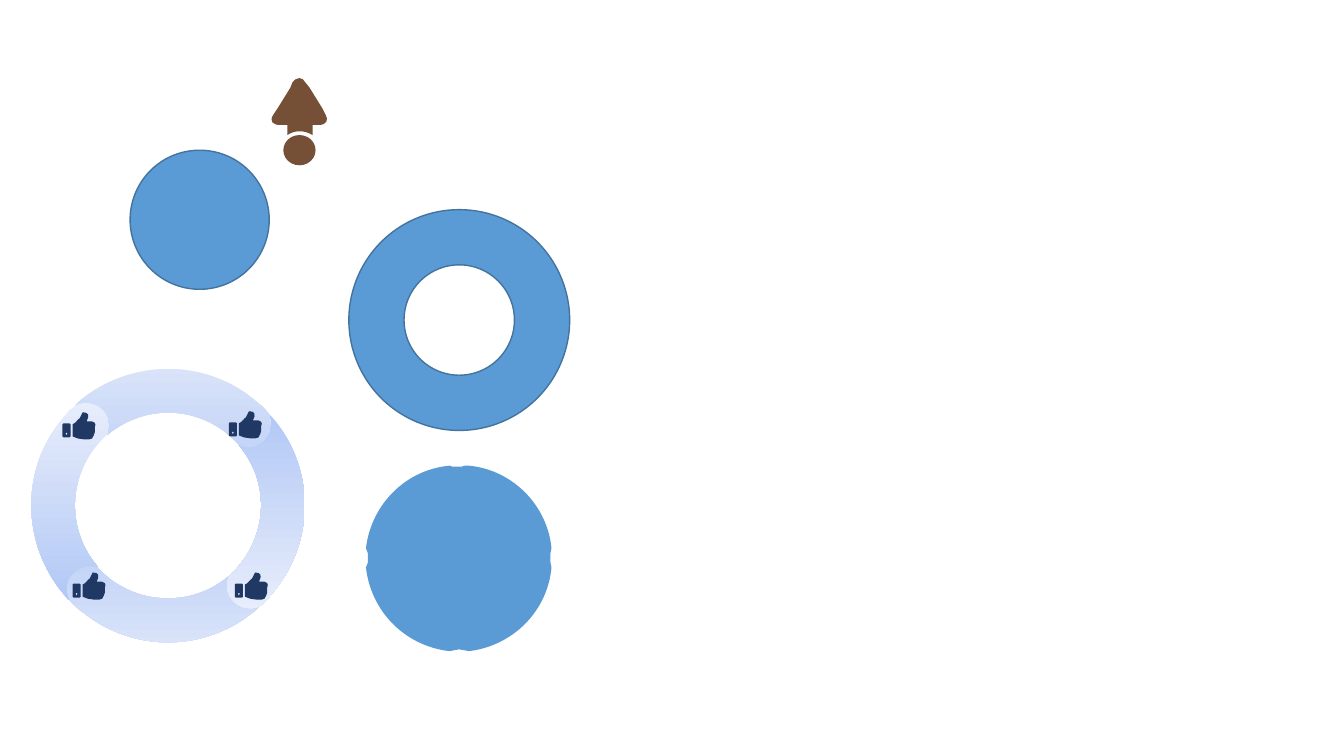
from dataclasses import dataclass

from pptx import Presentation
from pptx.dml.color import RGBColor
from pptx.enum.shapes import MSO_SHAPE
from pptx.oxml.ns import qn
from pptx.util import Inches, Pt

CONNECTOR_DISC = MSO_SHAPE.FLOWCHART_CONNECTOR
DONUT = MSO_SHAPE.DONUT
OVAL = MSO_SHAPE.OVAL

COLUMNS, ROWS = 1333, 750  # grid cells of 0.01 inch


@dataclass(frozen=True)
class Theme:
    blue: str = "5B9BD5"
    blue_edge: str = "43739E"
    brown: str = "765036"
    navy: str = "203864"
    ring_dark: str = "B2C8F5"
    ring_mid_dark: str = "C5D5F7"
    ring_mid_light: str = "DBE5FA"
    ring_light: str = "E7EDFB"
    edge_width: float = 1


def read_outline(outline):
    """Split M, L and C commands into contours of points and the kinds of segment."""
    contours, kinds = [], []
    tokens = iter(outline.split())
    command = ""
    for token in tokens:
        if token.isalpha():
            command = token
            token = next(tokens)
        point = (int(token), int(next(tokens)))
        if command == "M":
            contours.append([point])
            continue
        kinds.append(command)
        contours[-1].append(point)
        if command == "C":
            contours[-1].extend((int(next(tokens)), int(next(tokens))) for _ in range(2))
    return contours, kinds


def bend(shape, kinds):
    """Join each three line steps of a curve into one cubic segment."""
    steps = iter(list(shape.element.iter(qn("a:lnTo"))))
    for kind in kinds:
        segment = next(steps)
        if kind == "C":
            segment.tag = qn("a:cubicBezTo")
            for _ in range(2):
                step = next(steps)
                segment.append(step[0])
                step.getparent().remove(step)


class Canvas:
    def __init__(self, slide, theme, cell):
        self.slide = slide
        self.theme = theme
        self.cell = cell

    def paint(self, shape, colours, edge=None):
        shape.shadow.inherit = False
        if len(colours) == 1:
            shape.fill.solid()
            shape.fill.fore_color.rgb = RGBColor.from_string(colours[0])
        else:
            shape.fill.gradient()
            shape.fill.gradient_angle = 270
            for stop, colour in zip(shape.fill.gradient_stops, colours):
                stop.color.rgb = RGBColor.from_string(colour)
        if edge:
            shape.line.color.rgb = RGBColor.from_string(edge)
            shape.line.width = Pt(self.theme.edge_width)
        else:
            shape.line.fill.background()

    def preset(self, kind, column, row, columns, rows, colour, edge=None):
        box = [round(n * self.cell) for n in (column, row, columns, rows)]
        self.paint(self.slide.shapes.add_shape(kind, *box), [colour], edge)

    def outline(self, outline, *colours, column=0, row=0):
        contours, kinds = read_outline(outline)
        builder = self.slide.shapes.build_freeform(*contours[0][0], scale=self.cell)
        for number, contour in enumerate(contours):
            if number:
                builder.move_to(*contour[0])
            builder.add_line_segments(contour[1:], close=False)
        freeform = builder.convert_to_shape(round(column * self.cell), round(row * self.cell))
        bend(freeform, kinds)
        self.paint(freeform, colours)


NOTCHED_DISC = """M 461 462 L 465 462 C 508 466 543 501 547 544 L 546 549
    C 546 552 546 555 546 558 L 547 563 C 543 607 508 641 465 646 L 460 645
    C 457 644 454 644 451 645 L 446 646 C 402 641 368 607 363 563 L 365 558
    C 365 555 365 552 365 549 L 363 544 C 368 501 402 466 446 462 L 449 463
    C 452 463 455 463 458 463 L 461 462"""

RING_BOTTOM = """M 72 599 L 68 594 C 64 585 66 575 72 569 79 562 89 560 97 563
    L 102 568 109 574 C 144 601 193 600 226 572 L 227 572
    C 223 581 225 590 232 597 239 604 249 605 257 602 L 254 605
    C 205 647 133 648 83 608 L 80 606 72 599"""
RING_RIGHT = """M 232 597 C 225 590 223 581 227 572 L 233 566 239 559
    C 266 524 266 476 237 442 L 237 441 C 246 445 256 443 262 436
    269 429 270 419 267 411 L 270 414 C 312 463 313 535 273 585
    L 264 596 257 602 C 249 605 239 604 232 597"""
RING_TOP = """M 74 403 L 79 398 C 128 357 200 355 250 395 L 261 404 267 411
    C 270 419 269 429 262 436 256 443 246 445 237 441 L 231 435 224 429
    C 189 402 141 403 107 431 L 106 431 C 110 423 108 413 101 406
    94 400 84 398 76 402 L 74 403"""
RING_LEFT = """M 68 595 L 63 589 C 22 540 20 468 60 418 L 69 407 76 402
    C 84 398 94 400 101 406 108 413 110 423 106 431 L 100 437 94 444
    C 67 479 68 528 96 561 L 97 563 C 89 560 79 562 72 569 66 575 64 585 68 594
    L 68 595"""

ARROW = """M 320 108 L 307 87 303 82 C 300 76 294 76 290 82 L 288 87 275 108 271 114
    C 267 120 270 124 278 124 L 285 124 285 134 C 292 129 302 129 310 134
    L 310 124 316 124 C 324 124 326 119 323 114 L 320 108"""

THUMB = """M 0 12 L 1 11 7 11 8 12 8 24 7 25 1 25 0 24 0 12
    M 4 20 L 3 21 4 23 5 21 4 20
    M 32 15 L 32 20 31 23 C 30 26 29 27 26 27 L 22 27 15 26 10 24 10 12
    C 13 11 15 7 17 6 L 20 0 C 26 0 27 3 24 9 L 29 9 C 31 9 34 11 32 15"""
THUMB_CELLS = ((227, 408), (62, 409), (233, 568), (72, 568))


def main():
    deck = Presentation()
    deck.slide_width, deck.slide_height = Inches(COLUMNS / 100), Inches(ROWS / 100)
    theme = Theme()
    slide = deck.slides.add_slide(deck.slide_layouts[6])
    canvas = Canvas(slide, theme, deck.slide_width / COLUMNS)

    # Blue discs
    canvas.preset(CONNECTOR_DISC, 129, 149, 138, 138, theme.blue, theme.blue_edge)
    canvas.preset(DONUT, 346, 208, 219, 219, theme.blue, theme.blue_edge)
    canvas.outline(NOTCHED_DISC, theme.blue)

    # Ring of four interlocking parts
    canvas.outline(RING_BOTTOM, theme.ring_mid_dark, theme.ring_mid_light)
    canvas.outline(RING_RIGHT, theme.ring_dark, theme.ring_light)
    canvas.outline(RING_TOP, theme.ring_mid_light, theme.ring_mid_dark)
    canvas.outline(RING_LEFT, theme.ring_light, theme.ring_dark)

    # Brown arrow over its dot
    canvas.outline(ARROW, theme.brown)
    canvas.preset(OVAL, 281, 134, 32, 30, theme.brown)

    # Thumbs on the ring's joints
    for column, row in THUMB_CELLS:
        canvas.outline(THUMB, theme.navy, column=column, row=row)

    deck.save("out.pptx")


if __name__ == "__main__":
    main()
